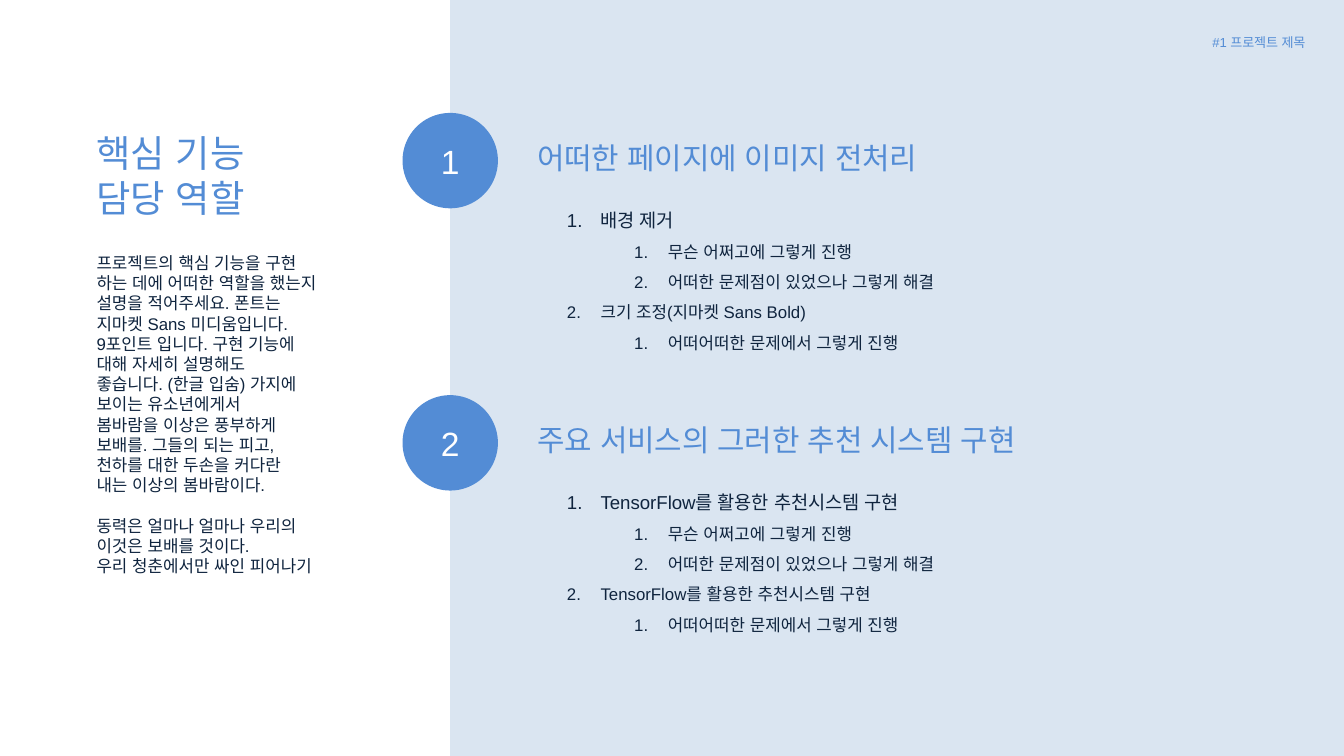
from dataclasses import dataclass

from lxml.etree import SubElement
from pptx import Presentation
from pptx.dml.color import RGBColor
from pptx.enum.shapes import MSO_SHAPE as Shape
from pptx.enum.text import MSO_ANCHOR as Anchor, PP_ALIGN as Align
from pptx.oxml.ns import qn
from pptx.util import Inches, Pt

BLUE = RGBColor(0x53, 0x8C, 0xD5)
PALE_BLUE = RGBColor(0xDA, 0xE5, 0xF1)
NAVY = RGBColor(0x0F, 0x24, 0x3E)
WHITE = RGBColor(0xFF, 0xFF, 0xFF)
FONT = "Arial"

WIDTH = 10
HEIGHT = WIDTH * 9 / 16
PANEL_LEFT = WIDTH * 0.335
INTRO_LEFT = WIDTH * 0.062
HEADING_LEFT = WIDTH * 0.39
LIST_LEFT = WIDTH * 0.412
BADGE_SIZE = 0.71
FIRST_ROW, ROW_PITCH = 0.84, 2.1
HEADING_DROP, LIST_DROP = 0.15, 0.58  # below the top of a row
INDENT = 0.25


@dataclass
class Item:
    text: str
    level: int = 0
    size: int = 9


@dataclass
class Section:
    heading: str
    items: list[Item]


SECTIONS = [
    Section("어떠한 페이지에 이미지 전처리", [
        Item("배경 제거", size=10),
        Item("무슨 어쩌고에 그렇게 진행", 1),
        Item("어떠한 문제점이 있었으나 그렇게 해결", 1),
        Item("크기 조정(지마켓 Sans Bold)"),
        Item("어떠어떠한 문제에서 그렇게 진행", 1),
    ]),
    Section("주요 서비스의 그러한 추천 시스템 구현", [
        Item("TensorFlow를 활용한 추천시스템 구현", size=10),
        Item("무슨 어쩌고에 그렇게 진행", 1),
        Item("어떠한 문제점이 있었으나 그렇게 해결", 1),
        Item("TensorFlow를 활용한 추천시스템 구현"),
        Item("어떠어떠한 문제에서 그렇게 진행", 1),
    ]),
]

ROLE_LINES = [
    "프로젝트의 핵심 기능을 구현",
    "하는 데에 어떠한 역할을 했는지",
    "설명을 적어주세요. 폰트는",
    "지마켓 Sans 미디움입니다.",
    "9포인트 입니다. 구현 기능에",
    "대해 자세히 설명해도",
    "좋습니다. (한글 입숨) 가지에",
    "보이는 유소년에게서",
    "봄바람을 이상은 풍부하게",
    "보배를. 그들의 되는 피고,",
    "천하를 대한 두손을 커다란",
    "내는 이상의 봄바람이다.",
]
CLOSING_LINES = [
    "동력은 얼마나 얼마나 우리의",
    "이것은 보배를 것이다.",
    "우리 청춘에서만 싸인 피어나기",
]


def style_font(paragraph, size: float, color: RGBColor) -> None:
    """Set size, colour and the typeface of both Latin and Korean text."""
    font = paragraph.font
    font.name, font.size = FONT, Pt(size)
    font.color.rgb = color
    latin = paragraph._p.pPr.find(qn("a:defRPr")).find(qn("a:latin"))
    latin.addnext(latin.makeelement(qn("a:ea"), typeface=FONT))


def add_text(slide, left: float, top: float, width: float, height: float,
             lines: list[str], size: float, color: RGBColor,
             align: Align = Align.LEFT):
    """Add a text box with one paragraph per line and return its paragraphs."""
    box = slide.shapes.add_textbox(*map(Inches, (left, top, width, height)))
    frame = box.text_frame
    frame.word_wrap = True
    frame.text = "\n".join(lines)
    for paragraph in frame.paragraphs:
        paragraph.alignment = align
        style_font(paragraph, size, color)
    return frame.paragraphs


def add_filled(slide, kind: Shape, left: float, top: float, width: float,
               height: float, fill: RGBColor):
    shape = slide.shapes.add_shape(kind, *map(Inches, (left, top, width, height)))
    shape.shadow.inherit = False
    shape.fill.solid()
    shape.fill.fore_color.rgb = fill
    shape.line.fill.background()
    return shape


def add_badge(slide, number: int, top: float) -> None:
    """Add a numbered circle centred on the panel's left edge."""
    badge = add_filled(slide, Shape.OVAL, PANEL_LEFT - BADGE_SIZE / 2, top,
                       BADGE_SIZE, BADGE_SIZE, BLUE)
    frame = badge.text_frame
    frame.vertical_anchor = Anchor.MIDDLE
    frame.text = str(number)
    label = frame.paragraphs[0]
    label.alignment = Align.CENTER
    style_font(label, 18, WHITE)


def number_paragraph(paragraph, level: int) -> None:
    """Give a paragraph automatic numbering with a hanging indent."""
    paragraph.level = level
    paragraph.line_spacing = 1.5
    props = paragraph._p.get_or_add_pPr()
    props.set("marL", str(Inches(INDENT * (1 + 2 * level))))
    props.set("indent", str(Inches(-INDENT)))
    numbering = SubElement(props, qn("a:buAutoNum"), type="arabicPeriod")
    props.find(qn("a:defRPr")).addprevious(numbering)
    bullet_color = numbering.makeelement(qn("a:buClr"))
    SubElement(bullet_color, qn("a:srgbClr"), val=str(NAVY))
    numbering.addprevious(bullet_color)


def add_section(slide, number: int, section: Section) -> None:
    top = FIRST_ROW + (number - 1) * ROW_PITCH
    add_badge(slide, number, top)
    add_text(slide, HEADING_LEFT, top + HEADING_DROP, 4.59, 0.37,
             [section.heading], 16, BLUE)
    paragraphs = add_text(slide, LIST_LEFT, top + LIST_DROP, 4.55, 1.19,
                          [item.text for item in section.items], 9, NAVY)
    for paragraph, item in zip(paragraphs, section.items):
        paragraph.font.size = Pt(item.size)
        number_paragraph(paragraph, item.level)


def main() -> None:
    deck = Presentation()
    deck.slide_width, deck.slide_height = Inches(WIDTH), Inches(HEIGHT)
    slide = deck.slides.add_slide(deck.slide_layouts[6])

    add_filled(slide, Shape.RECTANGLE, PANEL_LEFT, 0, WIDTH - PANEL_LEFT,
               HEIGHT, PALE_BLUE)
    add_text(slide, INTRO_LEFT, 0.92, 1.44, 0.77,
             ["핵심 기능", "담당 역할"], 20, BLUE)
    role = add_text(slide, INTRO_LEFT, 1.83, 2.27, 2.52,
                    ROLE_LINES + CLOSING_LINES, 9, NAVY)
    role[len(ROLE_LINES)].space_before = Pt(10.8)

    for number, section in enumerate(SECTIONS, start=1):
        add_section(slide, number, section)

    add_text(slide, 8.86, 0.21, 0.95, 0.22, ["#1 프로젝트 제목"], 7, BLUE,
             Align.RIGHT)
    deck.save("out.pptx")


if __name__ == "__main__":
    main()
